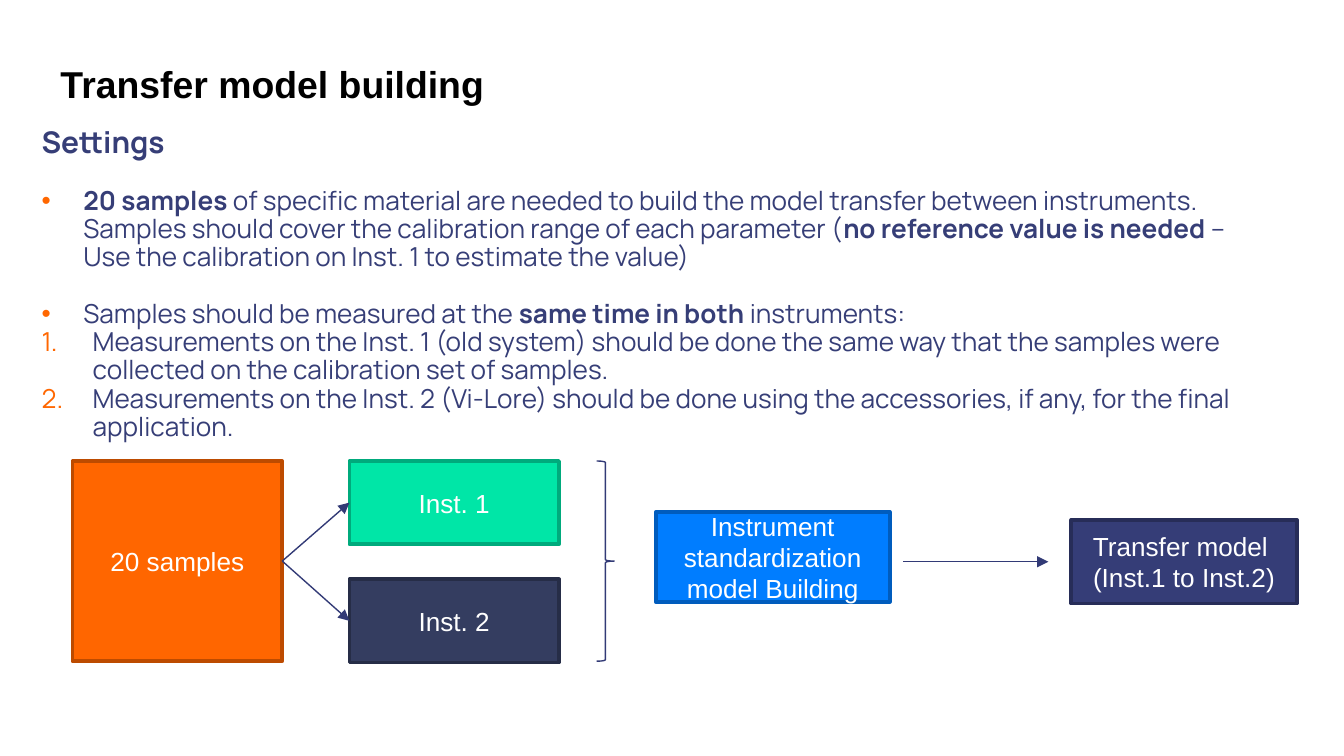
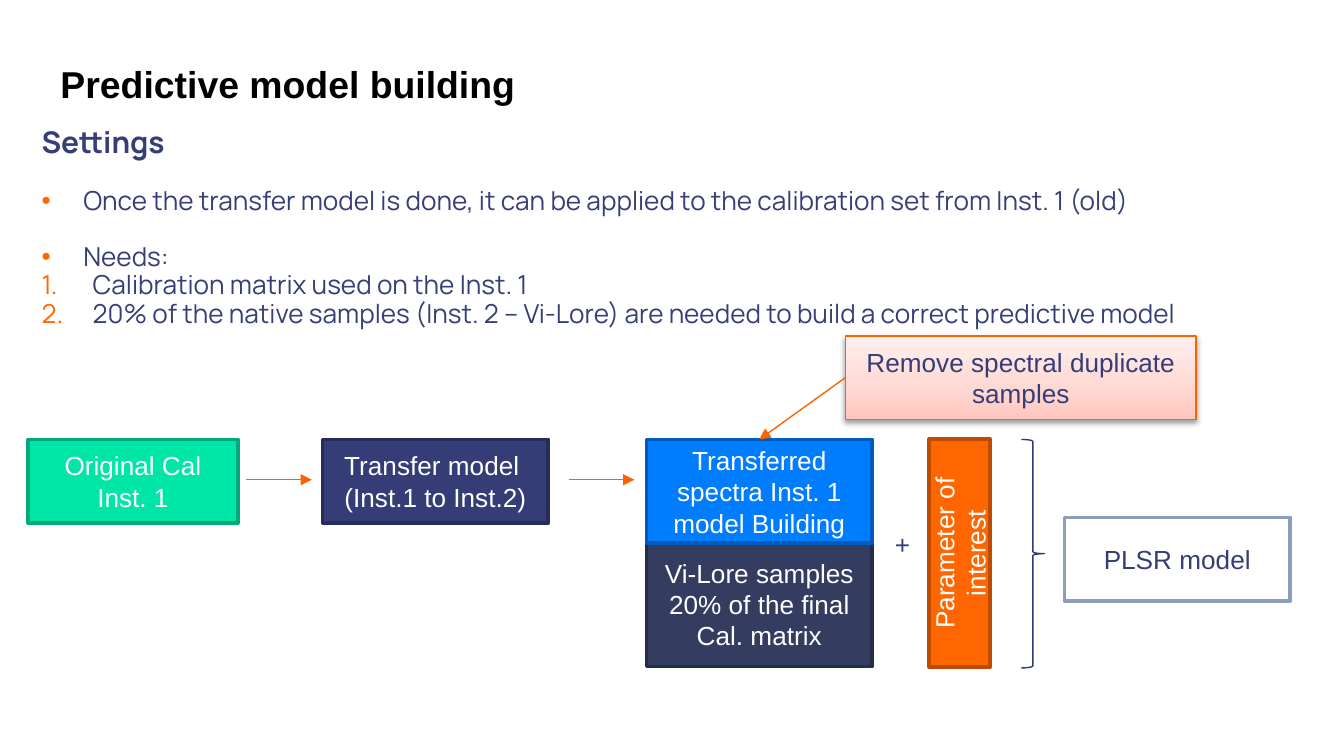
from copy import deepcopy

from lxml.etree import SubElement
from pptx import Presentation
from pptx.dml.color import RGBColor
from pptx.enum.shapes import MSO_CONNECTOR, MSO_SHAPE
from pptx.enum.text import MSO_ANCHOR, MSO_AUTO_SIZE, PP_ALIGN
from pptx.oxml.ns import qn
from pptx.util import Inches, Pt

# Shared colours: each box style is a fill and a border
ORANGE = ("FF6600", "BD4B00")
GREEN = ("00E6A7", "00AA7C")
SLATE = ("343D60", "262D47")
BLUE = ("007DFF", "005CBD")
INDIGO = ("353D77", "272D58")
OUTLINED = ("FFFFFF", "8D9DBC")
WHITE = "FFFFFF"
DARK_TEXT = "353D77"
BODY_TEXT = "363E77"
BULLET = "FF6700"
NAVY_LINE = "323A76"
ORANGE_LINE = "F96400"
TOP, LEFT, RIGHT = 0, 1, 3
color = RGBColor.from_string


def add_box(slide, text, left, top, width, height, style, text_color=WHITE):
    shape = slide.shapes.add_shape(MSO_SHAPE.RECTANGLE, Inches(left), Inches(top),
                                   Inches(width), Inches(height))
    shape.shadow.inherit = False
    shape.fill.solid()
    shape.fill.fore_color.rgb = color(style[0])
    shape.line.color.rgb = color(style[1])
    shape.line.width = Pt(2)
    shape.text_frame.text = text
    shape.text_frame.vertical_anchor = MSO_ANCHOR.MIDDLE
    for paragraph in shape.text_frame.paragraphs:
        paragraph.alignment = PP_ALIGN.CENTER
        for run in paragraph.runs:
            run.font.name = "Arial"
            run.font.size = Pt(14)
            run.font.color.rgb = color(text_color)
    return shape


def add_arrow(slide, start, end, line_color):
    """Each end is an (x, y) point or a (shape, side) pair."""
    connector = slide.shapes.add_connector(MSO_CONNECTOR.STRAIGHT, 0, 0, 0, 0)
    if hasattr(start[0], "shape_id"):
        connector.begin_connect(*start)
    else:
        connector.begin_x, connector.begin_y = map(Inches, start)
    if hasattr(end[0], "shape_id"):
        connector.end_connect(*end)
    else:
        connector.end_x, connector.end_y = map(Inches, end)
    connector.line.color.rgb = color(line_color)
    connector.line.width = Pt(0.75)
    line = connector._element.spPr.find(qn("a:ln"))
    SubElement(line, qn("a:tailEnd"), type="triangle")
    SubElement(connector._element.spPr, qn("a:effectLst"))


# Text of each slide: title, list items (kind, text with *bold* parts), brace frame
contents = [
    ("Transfer model building", [
        ("heading", "*Settings*"),
        ("bullet", "*20 samples *of specific material are needed to build the model transfer "
                   "between instruments. Samples should cover the calibration range of each "
                   "parameter (*no reference value is needed* – Use the calibration on "
                   "Inst. 1 to estimate the value)"),
        ("bullet", "Samples should be measured at the *same time in both* instruments:"),
        ("number", "Measurements on the Inst. 1 (old system) should be done the same way that "
                   "the samples were collected on the calibration set of samples."),
        ("number", "Measurements on the Inst. 2 (Vi-Lore) should be done using the "
                   "accessories, if any, for the final application."),
    ], (4.44, 3.43, 0.13, 1.49)),
    ("Predictive model building", [
        ("heading", "*Settings*"),
        ("bullet", "Once the transfer model is done, it can be applied to the calibration set "
                   "from Inst. 1 (old)"),
        ("bullet", "Needs:"),
        ("number", "Calibration matrix used on the Inst. 1"),
        ("number", "20% of the native samples (Inst. 2 – Vi-Lore) are needed to build a "
                   "correct predictive model"),
    ], (7.6, 3.27, 0.17, 1.7)),
]
# Per kind: font size, space before, hanging indent
list_styles = {"heading": (16, 0, 0), "bullet": (14, 15, 0.31), "number": (14, 0, 0.38)}

# Widescreen page, 16 to 9
presentation = Presentation()
presentation.slide_width = Inches(10)
presentation.slide_height = presentation.slide_width * 9 // 16

# Title, list and brace on both slides
for title_text, items, brace_frame in contents:
    slide = presentation.slides.add_slide(presentation.slide_layouts[1])
    title, body = slide.placeholders
    title.left, title.top, title.width, title.height = map(Inches, (0.35, 0.4, 5, 0.44))
    title.text_frame.text = title_text
    title.text_frame.auto_size = MSO_AUTO_SIZE.NONE
    paragraph = title.text_frame.paragraphs[0]
    paragraph.alignment = PP_ALIGN.LEFT
    title_font = paragraph.runs[0].font
    title_font.name = "Arial"
    title_font.size = Pt(20)
    title_font.bold = True
    title_font.color.rgb = color("000000")

    body.left, body.top, body.width, body.height = map(Inches, (0.21, 0.9, 9.33, 4.33))
    body.text_frame.auto_size = MSO_AUTO_SIZE.NONE
    for index, (kind, text) in enumerate(items):
        paragraph = body.text_frame.paragraphs[0] if index == 0 else body.text_frame.add_paragraph()
        size, space_before, indent = list_styles[kind]
        paragraph.line_spacing = 0.9
        paragraph.space_before = Pt(space_before)
        for part, piece in enumerate(text.split("*")):
            if piece:
                run = paragraph.add_run()
                run.text = piece
                run.font.name = "Manrope"
                run.font.size = Pt(size)
                run.font.bold = part % 2 == 1
                run.font.color.rgb = color(BODY_TEXT)
        properties = paragraph._p.get_or_add_pPr()
        properties.set("marL", str(Inches(indent)))
        properties.set("indent", str(-Inches(indent)))
        if kind == "heading":
            SubElement(properties, qn("a:buNone"))
            continue
        SubElement(SubElement(properties, qn("a:buClr")), qn("a:srgbClr"), val=BULLET)
        if kind == "bullet":
            SubElement(properties, qn("a:buFont"), typeface="Arial")
            SubElement(properties, qn("a:buChar"), char="•")
        else:
            SubElement(properties, qn("a:buFont"), typeface="Manrope")
            SubElement(properties, qn("a:buAutoNum"), type="arabicPeriod")

    brace = slide.shapes.add_shape(MSO_SHAPE.RIGHT_BRACE, *map(Inches, brace_frame))
    brace.shadow.inherit = False
    brace.fill.background()
    brace.line.color.rgb = color(NAVY_LINE)
    brace.line.width = Pt(0.75)

transfer_slide, predictive_slide = presentation.slides
transfer_text = "Transfer model \n(Inst.1 to Inst.2)"

# Slide 1: samples measured on both instruments give the transfer model
samples = add_box(transfer_slide, "20 samples", 0.54, 3.43, 1.56, 1.49, ORANGE)
for text, top, style in (("Inst. 1", 3.43, GREEN), ("Inst. 2", 4.31, SLATE)):
    instrument = add_box(transfer_slide, text, 2.6, top, 1.56, 0.62, style)
    add_arrow(transfer_slide, (samples, RIGHT), (instrument, LEFT), NAVY_LINE)
add_box(transfer_slide, "Instrument standardization model Building", 4.88, 3.81, 1.74, 0.67, BLUE)
add_arrow(transfer_slide, (6.72, 4.18), (7.8, 4.18), NAVY_LINE)
add_box(transfer_slide, transfer_text, 7.97, 3.87, 1.68, 0.62, INDIGO)

# Slide 2: calibration set passes through the transfer model
add_box(predictive_slide, "Original Cal Inst. 1", 0.21, 3.27, 1.56, 0.62, GREEN)
add_box(predictive_slide, transfer_text, 2.4, 3.27, 1.68, 0.62, INDIGO)
for left in (1.83, 4.23):
    add_arrow(predictive_slide, (left, 3.57), (left + 0.49, 3.57), ORANGE_LINE)
add_box(predictive_slide, "Vi-Lore samples 20% of the final Cal. matrix",
        4.81, 4.03, 1.68, 0.93, SLATE)
transferred = add_box(predictive_slide, "Transferred spectra Inst. 1 model Building",
                      4.81, 3.27, 1.68, 0.77, BLUE)

# Slide 2: parameter of interest and resulting model
plus = predictive_slide.shapes.add_textbox(Inches(6.49), Inches(3.88), Inches(0.45), Inches(0.33))
plus.text_frame.text = "+"
plus.text_frame.word_wrap = True
plus.text_frame.vertical_anchor = MSO_ANCHOR.MIDDLE
paragraph = plus.text_frame.paragraphs[0]
paragraph.alignment = PP_ALIGN.CENTER
plus_font = paragraph.runs[0].font
plus_font.name = "Arial"
plus_font.size = Pt(14)
plus_font.color.rgb = color(DARK_TEXT)
parameter = add_box(predictive_slide, "Parameter of interest", 6.29, 3.89, 1.7, 0.45, ORANGE)
parameter.rotation = 270
add_box(predictive_slide, "PLSR model", 7.92, 3.85, 1.68, 0.62, OUTLINED, DARK_TEXT)

# Slide 2: callout with gradient and soft shadow
callout = add_box(predictive_slide, "Remove spectral duplicate samples",
                  6.29, 2.5, 2.61, 0.62, (WHITE, ORANGE_LINE), DARK_TEXT)
callout.line.width = Pt(0.75)
callout.fill.gradient()
callout.fill.gradient_angle = 90
callout_properties = callout._element.spPr
stop_list = callout_properties.find(".//" + qn("a:gsLst"))
stop_list.append(deepcopy(stop_list[0]))
gradient = ((0, "FFC6BD"), (0.35, "FFD7D1"), (1, "FFF0EE"))
for stop, (position, stop_color) in zip(callout.fill.gradient_stops, gradient):
    stop.position = position
    stop.color.rgb = color(stop_color)
shadow = SubElement(callout_properties.find(qn("a:effectLst")), qn("a:outerShdw"),
                    blurRad=str(Pt(3.1)), dist=str(Pt(1.6)), dir="5400000", rotWithShape="0")
shadow_color = SubElement(shadow, qn("a:srgbClr"), val="000000")
SubElement(shadow_color, qn("a:alpha"), val="38000")
add_arrow(predictive_slide, (callout, LEFT), (transferred, TOP), ORANGE_LINE)

presentation.save("out.pptx")
